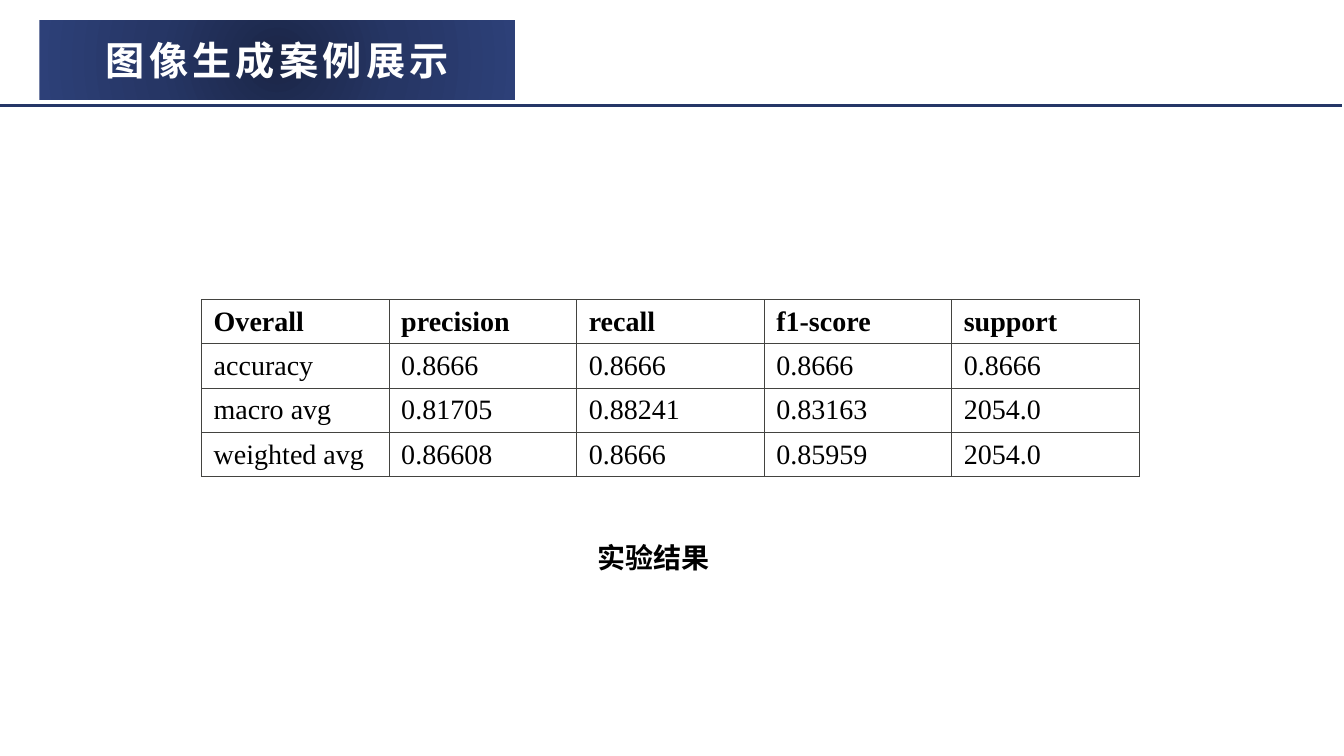
from lxml.etree import SubElement
from pptx import Presentation
from pptx.dml.color import RGBColor
from pptx.enum.shapes import MSO_CONNECTOR, MSO_SHAPE
from pptx.enum.text import MSO_ANCHOR, PP_ALIGN
from pptx.oxml import parse_xml
from pptx.oxml.ns import nsdecls, qn
from pptx.util import Emu, Pt

EMU_PER_PX = 9144  # 100 px to the inch
COLORS = {
    "banner_centre": "1B2647",
    "banner_middle": "263665",
    "banner_edge": "2D4078",
    "rule": "253667",
    "border": "434340",
    "title": "FFFFFF",
    "text": "000000",
}
CJK_FONT = "Noto Sans CJK SC"
TABLE_FONT = "Times New Roman"
BORDER_WIDTH = Pt(0.48)
RESULTS = [
    ["Overall", "precision", "recall", "f1-score", "support"],
    ["accuracy", "0.8666", "0.8666", "0.8666", "0.8666"],
    ["macro avg", "0.81705", "0.88241", "0.83163", "2054.0"],
    ["weighted avg", "0.86608", "0.8666", "0.85959", "2054.0"],
]


def px(*lengths):
    return [Emu(length * EMU_PER_PX) for length in lengths]


def color(name):
    return RGBColor.from_string(COLORS[name])


def add_run(paragraph, text, size, font_name, color_name, bold=False, spacing=None):
    run = paragraph.add_run()
    run.text = text
    font = run.font
    font.size, font.name, font.bold = Pt(size), font_name, bold
    font.color.rgb = color(color_name)
    properties = run._r.get_or_add_rPr()
    SubElement(properties, qn("a:ea")).set("typeface", CJK_FONT)
    if spacing:
        properties.set("spc", str(spacing * 100))


def fill_radial(shape, color_names):
    """Spread the named colours evenly from the centre to the edge."""
    step = 100000 // (len(color_names) - 1)
    stops = "".join(
        f'<a:gs pos="{index * step}"><a:srgbClr val="{COLORS[name]}"/></a:gs>'
        for index, name in enumerate(color_names)
    )
    shape.fill.gradient()
    properties = shape._element.spPr
    properties.replace(properties.find(qn("a:gradFill")), parse_xml(
        f'<a:gradFill {nsdecls("a")} rotWithShape="1"><a:gsLst>{stops}</a:gsLst>'
        '<a:path path="circle">'
        '<a:fillToRect l="50000" t="50000" r="50000" b="50000"/>'
        '</a:path></a:gradFill>'
    ))


def add_banner(slide, text, box):
    shape = slide.shapes.add_shape(MSO_SHAPE.RECTANGLE, *px(*box))
    shape.shadow.inherit = False
    shape.line.fill.background()
    fill_radial(shape, ["banner_centre", "banner_middle", "banner_edge"])
    shape.text_frame.vertical_anchor = MSO_ANCHOR.MIDDLE
    paragraph = shape.text_frame.paragraphs[0]
    paragraph.alignment = PP_ALIGN.CENTER
    add_run(paragraph, text, 28, "Arial", "title", bold=True, spacing=3)


def add_rule(slide, left, right, top):
    line = slide.shapes.add_connector(
        MSO_CONNECTOR.STRAIGHT, *px(left, top, right, top))
    line.line.color.rgb = color("rule")
    line.line.width = Pt(2)
    SubElement(line._element.spPr, qn("a:effectLst"))


def add_caption(slide, text, box):
    frame = slide.shapes.add_textbox(*px(*box)).text_frame
    frame.word_wrap = True
    paragraph = frame.paragraphs[0]
    paragraph.alignment = PP_ALIGN.CENTER
    paragraph.line_spacing = 1.5
    add_run(paragraph, text, 20, CJK_FONT, "text", bold=True)


def set_borders(cell):
    properties = cell._tc.get_or_add_tcPr()
    for index, side in enumerate(["lnL", "lnR", "lnT", "lnB"]):
        properties.insert(index, parse_xml(
            f'<a:{side} {nsdecls("a")} w="{BORDER_WIDTH}"><a:solidFill>'
            f'<a:srgbClr val="{COLORS["border"]}"/></a:solidFill></a:{side}>'
        ))


def add_results_table(slide, rows, left, top, column_width, row_height):
    column_count = len(rows[0])
    size = column_width * column_count, row_height * len(rows)
    table = slide.shapes.add_table(
        len(rows), column_count, *px(left, top, *size)).table
    table.first_row = table.horz_banding = False
    for row_index, values in enumerate(rows):
        for column_index, value in enumerate(values):
            cell = table.cell(row_index, column_index)
            cell.fill.background()
            cell.vertical_anchor = MSO_ANCHOR.MIDDLE
            cell.margin_left, cell.margin_right = px(12, 12)
            cell.margin_top, cell.margin_bottom = px(5, 5)
            set_borders(cell)
            add_run(cell.text_frame.paragraphs[0], value, 20, TABLE_FONT,
                    "text", bold=row_index == 0)


def main():
    presentation = Presentation()
    presentation.slide_width, presentation.slide_height = px(1333, 750)
    slide = presentation.slides.add_slide(presentation.slide_layouts[6])

    # Heading
    add_banner(slide, "图像生成案例展示", (39, 20, 472, 79))
    add_rule(slide, 0, 1331, 105)

    # Results with caption
    add_caption(slide, "实验结果", (252, 515, 793, 71))
    add_results_table(slide, RESULTS, 200, 297, 186, 44)

    presentation.save("out.pptx")


if __name__ == "__main__":
    main()
